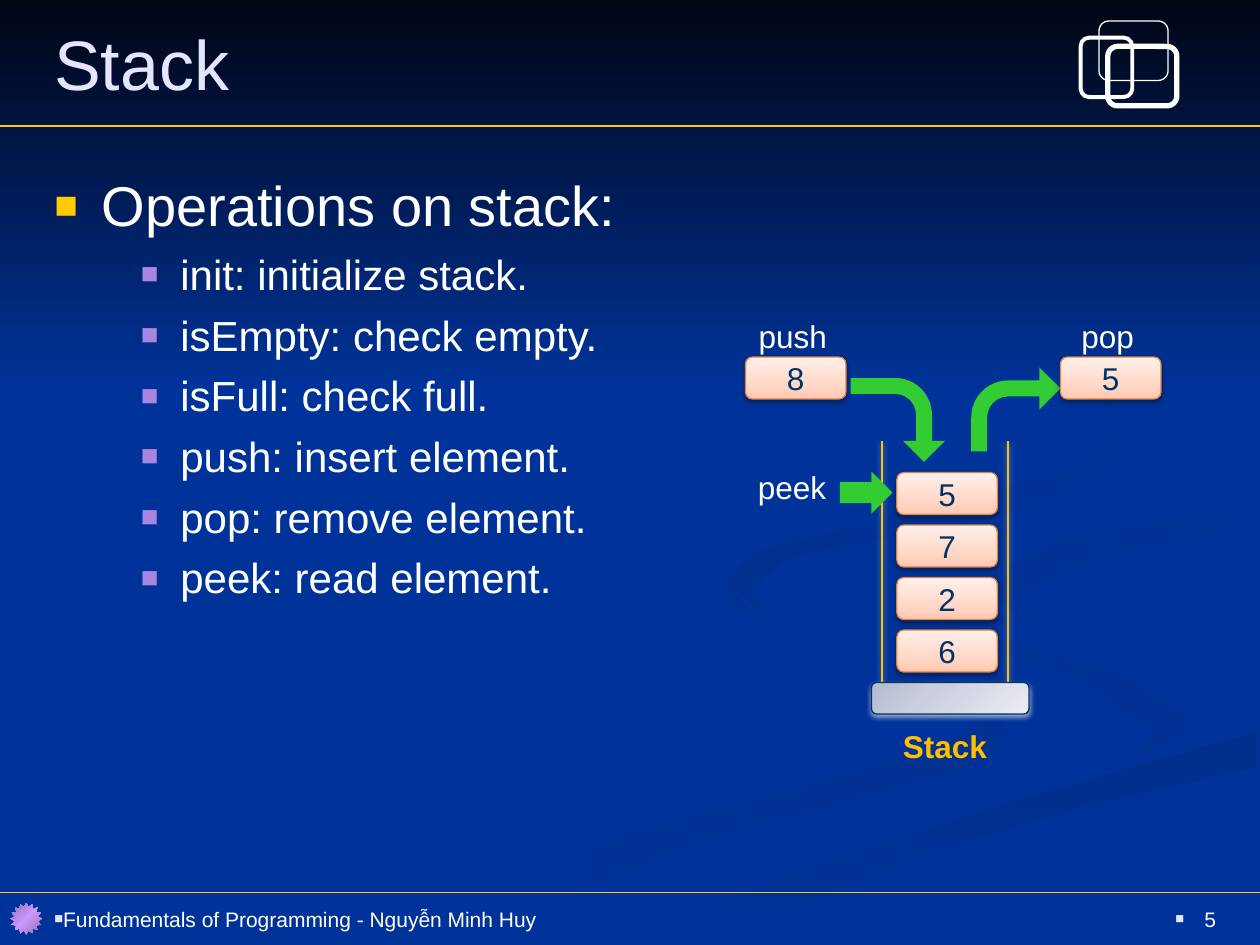
"""Build a slide on stack operations with a push, pop and peek diagram."""
from lxml.etree import SubElement
from pptx import Presentation
from pptx.dml.color import RGBColor
from pptx.enum.shapes import MSO_CONNECTOR, MSO_SHAPE
from pptx.enum.text import MSO_ANCHOR, PP_ALIGN
from pptx.oxml.ns import qn
from pptx.util import Pt

HUES = {
    "back": "003399", "night": "000514", "white": "FFFFFF", "pale": "E5E5FF",
    "gold": "FFCC00", "amber": "FFC000", "lilac": "A886E0", "green": "33CC33",
    "navy": "003366", "edge": "003264", "rust": "DD8443", "black": "000000",
    "dim": "003193", "dusk": "002F8C", "plum": "926DB6", "mauve": "CC99FF",
    "steel": "B3B9D0", "silver": "CACEDD", "frost": "EBECF3",
    "peach": "FFC8B1", "blush": "FFD8C8", "cream": "FFF0EA",
}


def paint(shape, fill=None, angle=0, mid=50, line=None, width=0.75, glow=None, alpha=60):
    """Set fill (one hue, or a list for a gradient), line and shadow."""
    props = shape._element.spPr
    if hasattr(shape, "fill"):
        if isinstance(fill, str):
            shape.fill.solid()
            shape.fill.fore_color.rgb = RGBColor.from_string(HUES[fill])
        elif fill:
            shape.fill.gradient()
            grad = props.find(qn("a:gradFill"))
            for child in list(grad):
                grad.remove(child)
            row = SubElement(grad, qn("a:gsLst"))
            spots = [0, mid, 100] if len(fill) == 3 else [0, 100]
            for spot, hue in zip(spots, fill):
                stop = SubElement(row, qn("a:gs"), pos=str(spot * 1000))
                SubElement(stop, qn("a:srgbClr"), val=HUES[hue])
            SubElement(grad, qn("a:lin"), ang=str(angle * 60000), scaled="0")
        else:
            shape.fill.background()
    if line:
        shape.line.color.rgb = RGBColor.from_string(HUES[line])
        shape.line.width = Pt(width)
    else:
        shape.line.fill.background()
    effects = SubElement(props, qn("a:effectLst"))
    if glow:
        shade = SubElement(effects, qn("a:outerShdw"), blurRad=str(Pt(3.1)), dist=str(Pt(1.6)),
                           dir="5400000", rotWithShape="0")
        tone = SubElement(shade, qn("a:srgbClr"), val=HUES[glow])
        SubElement(tone, qn("a:alpha"), val=str(alpha * 1000))


def write(shape, text, size=18, hue="white", bold=False, align=PP_ALIGN.LEFT,
          anchor=MSO_ANCHOR.MIDDLE, wrap=True, bullet=None, left=0, hang=0, gap=0):
    """Add one paragraph of text to a shape."""
    frame = shape.text_frame
    frame.word_wrap = wrap
    frame.vertical_anchor = anchor
    para = frame.add_paragraph() if frame.text else frame.paragraphs[0]
    para.alignment = align
    if gap:
        para.space_before = Pt(gap)
    if bullet:
        props = para._p.get_or_add_pPr()
        props.set("marL", str(Pt(left)))
        props.set("indent", str(-Pt(hang)))
        SubElement(SubElement(props, qn("a:buClr")), qn("a:srgbClr"), val=HUES[bullet])
        SubElement(props, qn("a:buSzPct"), val="70000")
        SubElement(props, qn("a:buFont"), typeface="Arial")
        SubElement(props, qn("a:buChar"), char="■")
    run = para.add_run()
    run.text = text
    run.font.name = "Arial"
    run.font.size = Pt(size)
    run.font.bold = bold
    run.font.color.rgb = RGBColor.from_string(HUES[hue])


deck = Presentation()
deck.slide_width, deck.slide_height = Pt(720), Pt(540)
slide = deck.slides.add_slide(deck.slide_layouts[6])
slide.background.fill.solid()
slide.background.fill.fore_color.rgb = RGBColor.from_string(HUES["back"])
shapes = slide.shapes

swirls = [
    (["back", "dim"], 0, [
        (562, 398), (491, 374), (428, 349), (414, 330), (418, 348), (489, 374), (562, 400),
        (562, 417), (503, 438), (359, 476), (216, 539), (260, 539), (406, 479), (562, 436),
        (576, 418)]),
    (["back", "dim"], 45, [
        (679, 410), (639, 385), (536, 353), (521, 334), (544, 364), (615, 388), (661, 418),
        (644, 436), (677, 418)]),
    (["dusk", "back"], 90, [
        (362, 539), (411, 539), (520, 491), (620, 461), (719, 438), (719, 418), (574, 459),
        (454, 499)]),
    (["dim", "back"], 45, [
        (562, 331), (569, 344), (595, 357), (580, 340), (632, 316), (719, 302), (719, 289),
        (611, 307)]),
    (["dusk", "back"], 45, [
        (492, 310), (594, 289), (640, 261), (634, 221), (549, 168), (616, 205), (640, 246),
        (613, 269), (528, 291), (430, 315), (415, 333), (448, 360), (427, 338), (449, 320)]),
]
for fill, angle, points in swirls:
    pen = shapes.build_freeform(*points[0], scale=Pt(1))
    pen.add_line_segments(points[1:], close=True)
    paint(pen.convert_to_shape(), fill, angle)

sky = shapes.add_shape(MSO_SHAPE.RECTANGLE, Pt(0), Pt(0), Pt(720), Pt(222))
paint(sky, ["night", "back"], 90)

for y in (72, 510):
    rule = shapes.add_connector(MSO_CONNECTOR.STRAIGHT, Pt(0), Pt(y), Pt(720), Pt(y))
    paint(rule, line="gold")
for x in (504, 576):
    wall = shapes.add_connector(MSO_CONNECTOR.STRAIGHT, Pt(x), Pt(390), Pt(x), Pt(252))
    paint(wall, line="amber", glow="white")

for x, y, wide, width in [(617.5, 21.5, 29.5, 2.25), (628, 12, 39.5, 0.75), (633, 26.5, 39.5, 3)]:
    frame = shapes.add_shape(MSO_SHAPE.FLOWCHART_ALTERNATE_PROCESS,
                             Pt(x), Pt(y), Pt(wide), Pt(34))
    paint(frame, line="white", width=width)

star = shapes.add_shape(MSO_SHAPE.STAR_16_POINT, Pt(6), Pt(516), Pt(18), Pt(18))
paint(star, ["plum", "mauve", "plum"], 45)

title = shapes.add_textbox(Pt(24), Pt(0), Pt(678), Pt(72))
write(title, "Stack", size=40, hue="pale")

body = shapes.add_textbox(Pt(24), Pt(90), Pt(678), Pt(408))
body.text_frame.margin_top = Pt(7.6)
write(body, "Operations on stack:", size=32, anchor=MSO_ANCHOR.TOP,
      bullet="gold", left=27, hang=27)
for item in ["init: initialize stack.", "isEmpty: check empty.", "isFull: check full.",
             "push: insert element.", "pop: remove element.", "peek: read element."]:
    write(body, item, size=24, anchor=MSO_ANCHOR.TOP,
          bullet="lilac", left=72, hang=22.5, gap=5.9)

page = shapes.add_textbox(Pt(534), Pt(510), Pt(168), Pt(30))
write(page, "5", size=12, align=PP_ALIGN.RIGHT, bullet="pale", left=16.6, hang=16.6)
foot = shapes.add_textbox(Pt(24), Pt(510), Pt(498), Pt(30))
write(foot, "Fundamentals of Programming - Nguyễn Minh Huy", size=12, bullet="pale")

base = shapes.add_shape(MSO_SHAPE.ROUNDED_RECTANGLE, Pt(498), Pt(390), Pt(90), Pt(18))
paint(base, ["steel", "silver", "frost"], 45, mid=35, line="edge", glow="white")

for kind, x, y, wide, high, turn in [
        (MSO_SHAPE.BENT_ARROW, 489, 213, 48, 54, 90),
        (MSO_SHAPE.BENT_ARROW, 555, 210, 51, 48, 0),
        (MSO_SHAPE.DOWN_ARROW, 483, 266.5, 24, 30, 270)]:
    arrow = shapes.add_shape(kind, Pt(x), Pt(y), Pt(wide), Pt(high))
    arrow.rotation = turn
    if kind == MSO_SHAPE.BENT_ARROW:
        arrow.adjustments[0] = 0.19
    paint(arrow, "green")

for text, x, y, wide, hue in [("Stack", 456, 408, 168, "amber"),
                              ("push", 408, 174, 90, "white"), ("pop", 588, 174, 90, "white")]:
    label = shapes.add_shape(MSO_SHAPE.ROUNDED_RECTANGLE, Pt(x), Pt(y), Pt(wide), Pt(36))
    paint(label)
    write(label, text, hue=hue, bold=hue == "amber", align=PP_ALIGN.CENTER, wrap=False)

peek = shapes.add_textbox(Pt(426), Pt(264), Pt(60), Pt(29))
write(peek, "peek", anchor=MSO_ANCHOR.TOP)

cells = [("8", 426, 204), ("5", 606, 204)]
cells += [(text, 512.5, 270 + 30 * step) for step, text in enumerate("5726")]
for text, x, y in cells:
    cell = shapes.add_shape(MSO_SHAPE.ROUNDED_RECTANGLE, Pt(x), Pt(y), Pt(57.5), Pt(24))
    paint(cell, ["peach", "blush", "cream"], 270, mid=35, line="rust", glow="black", alpha=38)
    write(cell, text, hue="navy", align=PP_ALIGN.CENTER, wrap=False)

deck.save("out.pptx")
